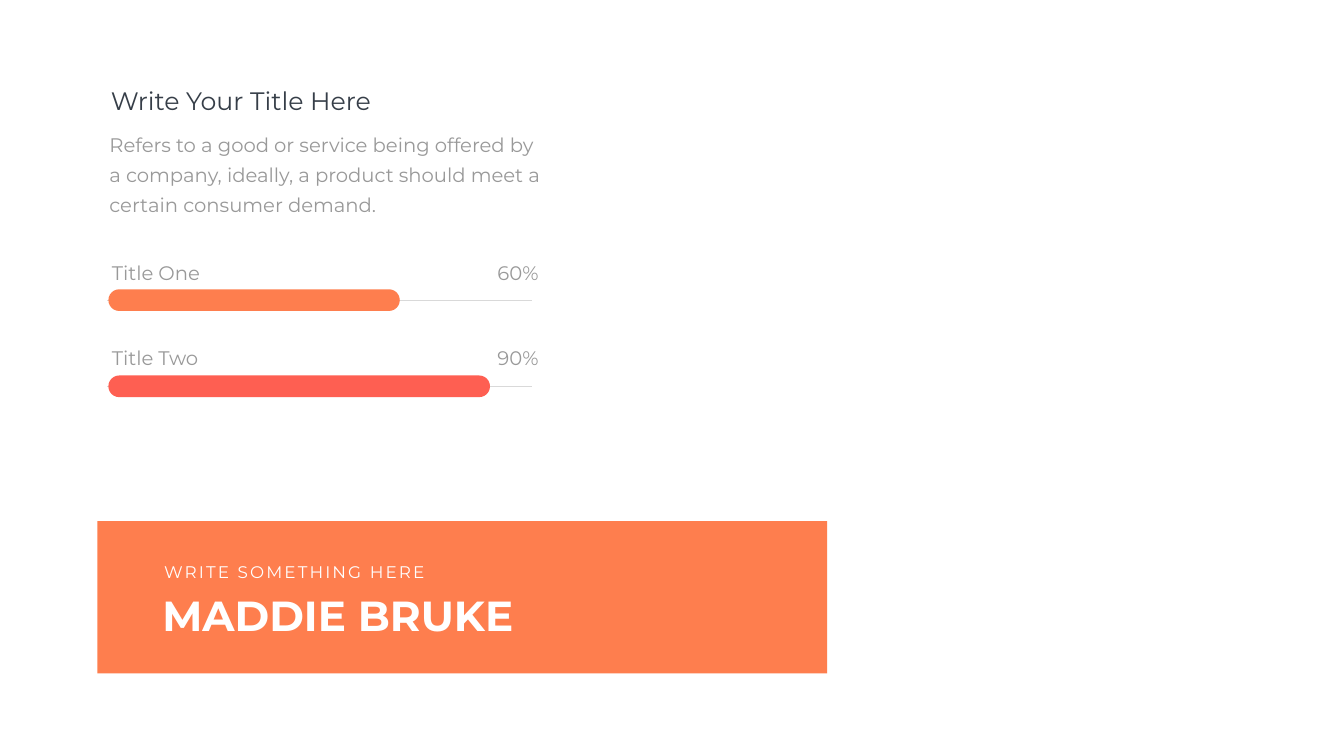
from typing import NamedTuple

from lxml.etree import SubElement
from pptx import Presentation
from pptx.dml.color import RGBColor
from pptx.enum.shapes import MSO_CONNECTOR, MSO_SHAPE
from pptx.enum.text import MSO_AUTO_SIZE, PP_ALIGN
from pptx.oxml.ns import qn
from pptx.util import Inches, Pt

FONT = "Montserrat"
ORANGE, RED = "FE7E4E", "FE5F52"
WHITE, GREY, DARK, TRACK = "FFFFFF", "999999", "363E48", "D9D9D9"


class Progress(NamedTuple):
    label: str
    value: str
    top: float
    bar_top: float
    bar_width: float
    color: str


BARS = [
    Progress("Title One", "60%", 5.13, 5.74, 5.78, ORANGE),
    Progress("Title Two", "90%", 6.82, 7.45, 7.57, RED),
]


def rgb(color: str) -> RGBColor:
    return RGBColor.from_string(color)


def add_text(s, text: str, left: float, top: float, width: float, height: float, *,
             size: float = 28, color: str = GREY, bold: bool = False,
             align=PP_ALIGN.LEFT, wrap: bool = True, spacing: float = 0,
             line: float = 0, inset: tuple[float, float] = (0.1, 0.05)) -> None:
    tf = s.shapes.add_textbox(*map(Inches, (left, top, width, height))).text_frame
    tf.word_wrap = wrap
    tf.auto_size = MSO_AUTO_SIZE.SHAPE_TO_FIT_TEXT
    tf.margin_left = tf.margin_right = Inches(inset[0])
    tf.margin_top = tf.margin_bottom = Inches(inset[1])
    p = tf.paragraphs[0]
    p.alignment = align
    if line:
        p.line_spacing = Pt(line)
    r = p.add_run()
    r.text = text
    r.font.name, r.font.size, r.font.bold = FONT, Pt(size), bold
    r.font.color.rgb = rgb(color)
    if spacing:
        r.font._element.set("spc", str(round(spacing * 100)))


def add_block(s, kind, left: float, top: float, width: float, height: float,
              color: str):
    sp = s.shapes.add_shape(kind, *map(Inches, (left, top, width, height)))
    sp.shadow.inherit = False
    sp.fill.solid()
    sp.fill.fore_color.rgb = rgb(color)
    sp.line.fill.background()
    return sp


def add_progress(s, bar: Progress) -> None:
    add_text(s, bar.label, 2.12, bar.top, 2.24, 0.57)
    add_text(s, bar.value, 9.43, bar.top, 1.35, 0.57, align=PP_ALIGN.RIGHT)
    # Thin track behind the filled bar
    y = bar.bar_top + 0.22
    track = s.shapes.add_connector(
        MSO_CONNECTOR.STRAIGHT, *map(Inches, (2.13, y, 10.56, y)))
    track.line.color.rgb = rgb(TRACK)
    track.line.width = Pt(1)
    SubElement(track._element.spPr, qn("a:effectLst"))
    sp = add_block(s, MSO_SHAPE.ROUNDED_RECTANGLE, 2.15, bar.bar_top,
                   bar.bar_width, 0.43, bar.color)
    sp.adjustments[0] = 0.5


def main() -> None:
    prs = Presentation()
    prs.slide_width, prs.slide_height = Inches(26.66), Inches(15)
    s = prs.slides.add_slide(prs.slide_layouts[6])

    # Name banner
    add_block(s, MSO_SHAPE.RECTANGLE, 1.93, 10.34, 14.48, 3.02, ORANGE)
    add_text(s, "MADDIE BRUKE", 3.12, 11.64, 9.98, 1.11,
             size=60, color=WHITE, bold=True)
    add_text(s, "WRITE SOMETHING HERE", 3.16, 11.09, 5.46, 0.5,
             size=24, color=WHITE, wrap=False, spacing=3)

    # Title and description
    add_text(s, "Refers to a good or service being offered by a company, ideally, "
             "a product should meet a certain consumer demand.",
             1.93, 2.39, 9.1, 2, line=43, inset=(0.24, 0.12))
    add_text(s, "Write Your Title Here", 2.1, 1.64, 6.53, 0.71, size=36, color=DARK)

    # Progress bars
    for bar in BARS:
        add_progress(s, bar)

    prs.save("out.pptx")


if __name__ == "__main__":
    main()
